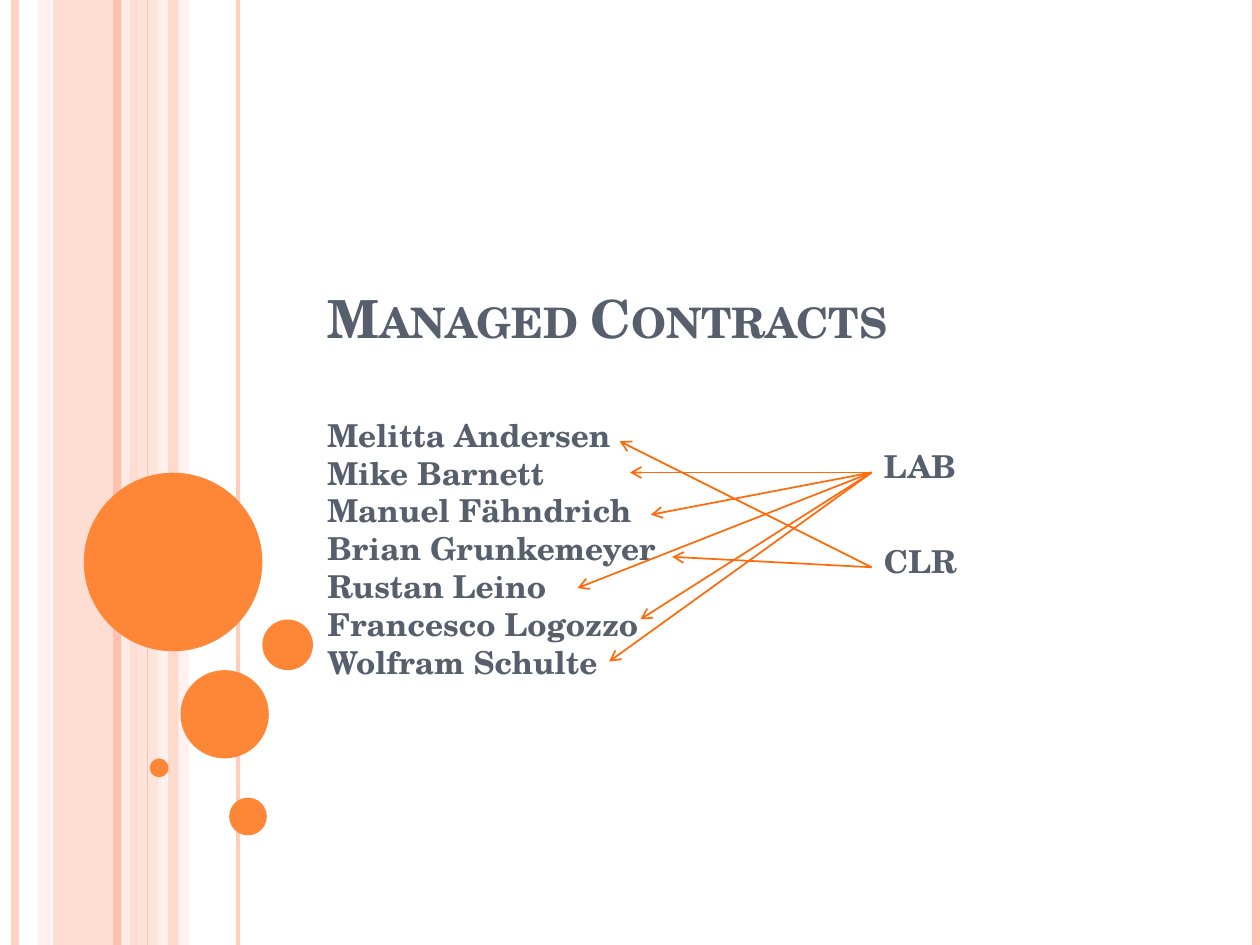
from lxml import etree
from pptx import Presentation
from pptx import util as u
from pptx.dml import color
from pptx.enum import shapes, text
from pptx.oxml import ns

FONT = "TeX Gyre Schola"
SLATE, ORANGE, ARROW = "575F6D", "FE8637", "FF6B0A"
PEACH, PINK, PALE = "FEC3AE", "FFD9CE", "FFEDE8"
WIDTH, HEIGHT = 25.4, 19.05

STRIPS = [(1.07, 1.7, PEACH, 54), (0.76, 0.28, PINK, 36),
          (2.75, 0.5, PINK, 70), (3.18, 0.63, PALE, 71)]
RULES = [(0.3, PEACH, 4.5, 73), (2.54, PALE, 4.5, 83), (2.36, PEACH, 4.5, 100),
         (4.8, PEACH, 2.25, 82), (2.97, PEACH, 0.75, 100), (25.32, PEACH, 4.5, 100)]
FRONT_STRIPS = [(3.39, 0.21, PEACH, 51)]
BUBBLES = [(0, 0, 3.6), (1.95, 3.98, 1.78), (1.33, 5.76, 0.38),
           (2.93, 6.55, 0.76), (3.6, 2.96, 1.02)]
NAMES = ["Melitta Andersen", "Mike Barnett", "Manuel Fähndrich", "Brian Grunkemeyer",
         "Rustan Leino", "Francesco Logozzo", "Wolfram Schulte"]
LAB_ARROWS = [(-4.87, 0), (-4.45, 0.85), (-5.93, 2.33), (-4.66, 2.96), (-5.29, 3.81)]
CLR_ARROWS = [(-4.02, -0.21), (-5.08, -2.54)]


def paint(fill, value, opacity=100):
    """Make a fill solid in a hex colour at an opacity in percent."""
    fill.solid()
    fill.fore_color.rgb = color.RGBColor.from_string(value)
    if opacity < 100:
        for node in fill._xPr.iter(ns.qn("a:srgbClr")):
            etree.SubElement(node, ns.qn("a:alpha"), val=str(opacity * 1000))


def add_solid(parent, kind, box, value, opacity=100):
    """Add a filled preset shape without outline or shadow."""
    shape = parent.add_shape(kind, *map(u.Cm, box))
    shape.shadow.inherit = False
    paint(shape.fill, value, opacity)
    shape.line.fill.background()


def add_line(parent, start, end, value, points, opacity=100, arrow=False):
    """Add a straight line, with an open arrowhead at its end if asked."""
    line = parent.add_connector(shapes.MSO_CONNECTOR.STRAIGHT, *map(u.Cm, (*start, *end)))
    line.line.width = u.Pt(points)
    paint(line.line.fill, value, opacity)
    if arrow:
        etree.SubElement(line.line._get_or_add_ln(), ns.qn("a:tailEnd"), type="arrow")
    etree.SubElement(line._element.spPr, ns.qn("a:effectLst"))


def write(shape, words, size, anchor=text.MSO_ANCHOR.TOP, small_caps=False):
    """Put bold slate text into a shape."""
    frame = shape.text_frame
    frame.word_wrap = True
    frame.auto_size = text.MSO_AUTO_SIZE.NONE
    frame.vertical_anchor = anchor
    para = frame.paragraphs[0]
    para.text = words
    para.alignment = text.PP_ALIGN.LEFT
    for span in para.runs:
        span.font.name = FONT
        span.font.size = u.Pt(size)
        span.font.bold = True
        span.font.color.rgb = color.RGBColor.from_string(SLATE)
        if small_caps:
            span._r.get_or_add_rPr().set("cap", "small")


def add_strips(page, strips, left, top, height):
    """Draw translucent vertical strips."""
    for offset, width, value, opacity in strips:
        add_solid(page.shapes, shapes.MSO_SHAPE.RECTANGLE,
                  (left + offset, top, width, height), value, opacity)


def add_backdrop(page, left, top, height):
    """Draw the vertical strips and rules."""
    add_strips(page, STRIPS, left, top, height)
    for offset, value, points, opacity in RULES:
        x = left + offset
        add_line(page.shapes, (x, top), (x, top + height), value, points, opacity)
    add_strips(page, FRONT_STRIPS, left, top, height)


def add_bubbles(page, left, top):
    """Draw the cluster of circles."""
    for x, y, size in BUBBLES:
        add_solid(page.shapes, shapes.MSO_SHAPE.OVAL, (left + x, top + y, size, size), ORANGE)


def add_title(page, left, top, width, height):
    """Place the title placeholder."""
    title = page.shapes.title
    title.left, title.top, title.width, title.height = map(u.Cm, (left, top, width, height))
    write(title, "Managed Contracts", 30, text.MSO_ANCHOR.BOTTOM, small_caps=True)


def add_names(page, left, top, width, height):
    """List the team members."""
    box = page.shapes.add_textbox(*map(u.Cm, (left, top, width, height)))
    write(box, "\v".join(NAMES), 18)


def add_team(page, label, arrows, left, top, width, height):
    """Group a team label with arrows from its left middle to its members."""
    group = page.shapes.add_group_shape()
    box = group.shapes.add_textbox(*map(u.Cm, (left, top, width, height)))
    write(box, label, 18)
    middle = top + height / 2
    for x, y in arrows:
        add_line(group.shapes, (left, middle), (left + x, middle + y), ARROW, 1, arrow=True)


def main():
    """Build and save the deck."""
    deck = Presentation()
    deck.slide_width, deck.slide_height = u.Cm(WIDTH), u.Cm(HEIGHT)
    page = deck.slides.add_slide(deck.slide_layouts[5])
    paint(page.background.fill, "FFFFFF")
    add_backdrop(page, 0, 0, HEIGHT)
    add_bubbles(page, 1.69, 9.53)
    add_title(page, 6.35, 1.9, 17.15, 5.26)
    add_names(page, 6.35, 8.26, 17.15, 6.99)
    add_team(page, "LAB", LAB_ARROWS, 17.57, 8.89, 2.12, 1.27)
    add_team(page, "CLR", CLR_ARROWS, 17.57, 10.8, 2.33, 1.27)
    deck.save("out.pptx")


if __name__ == "__main__":
    main()
